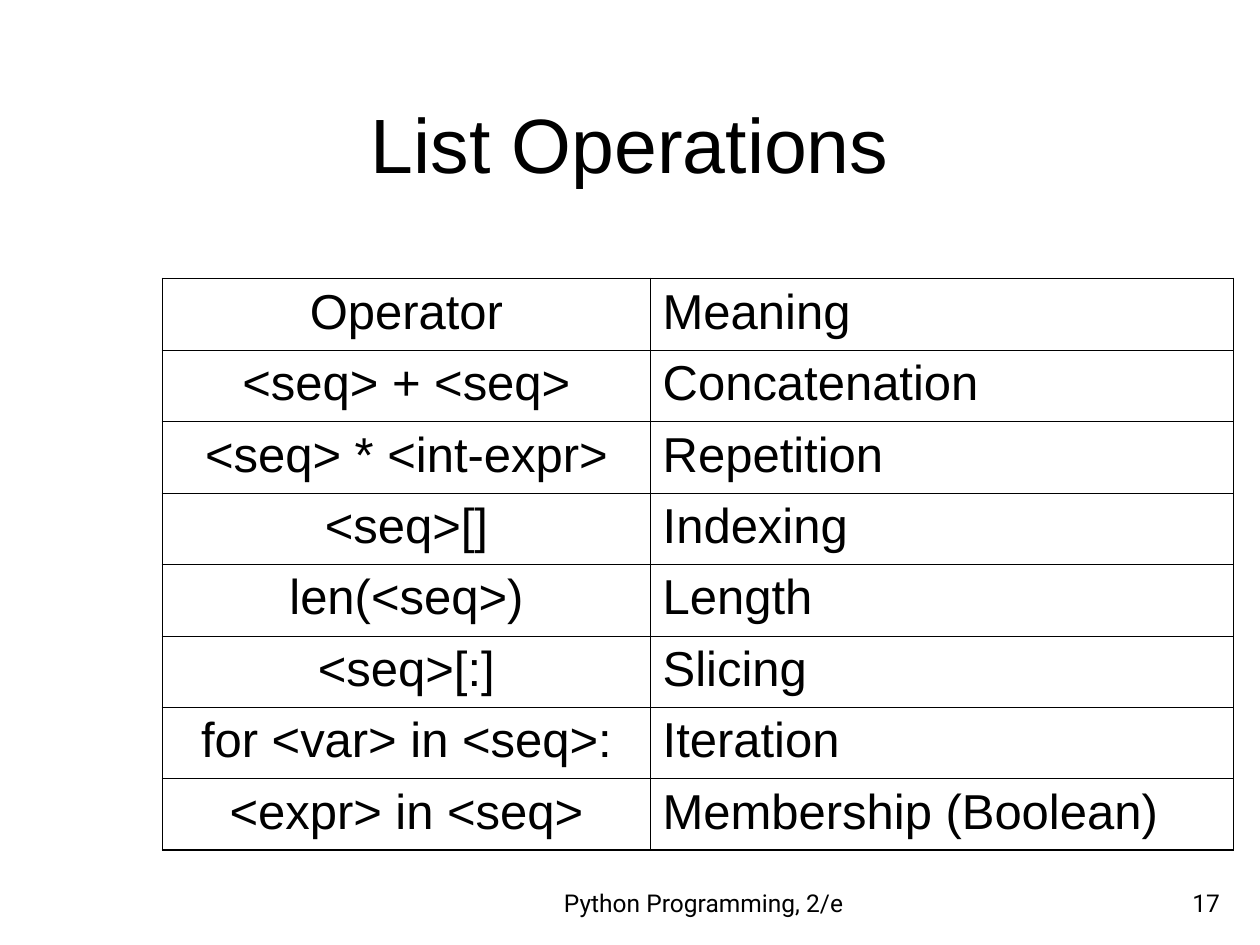
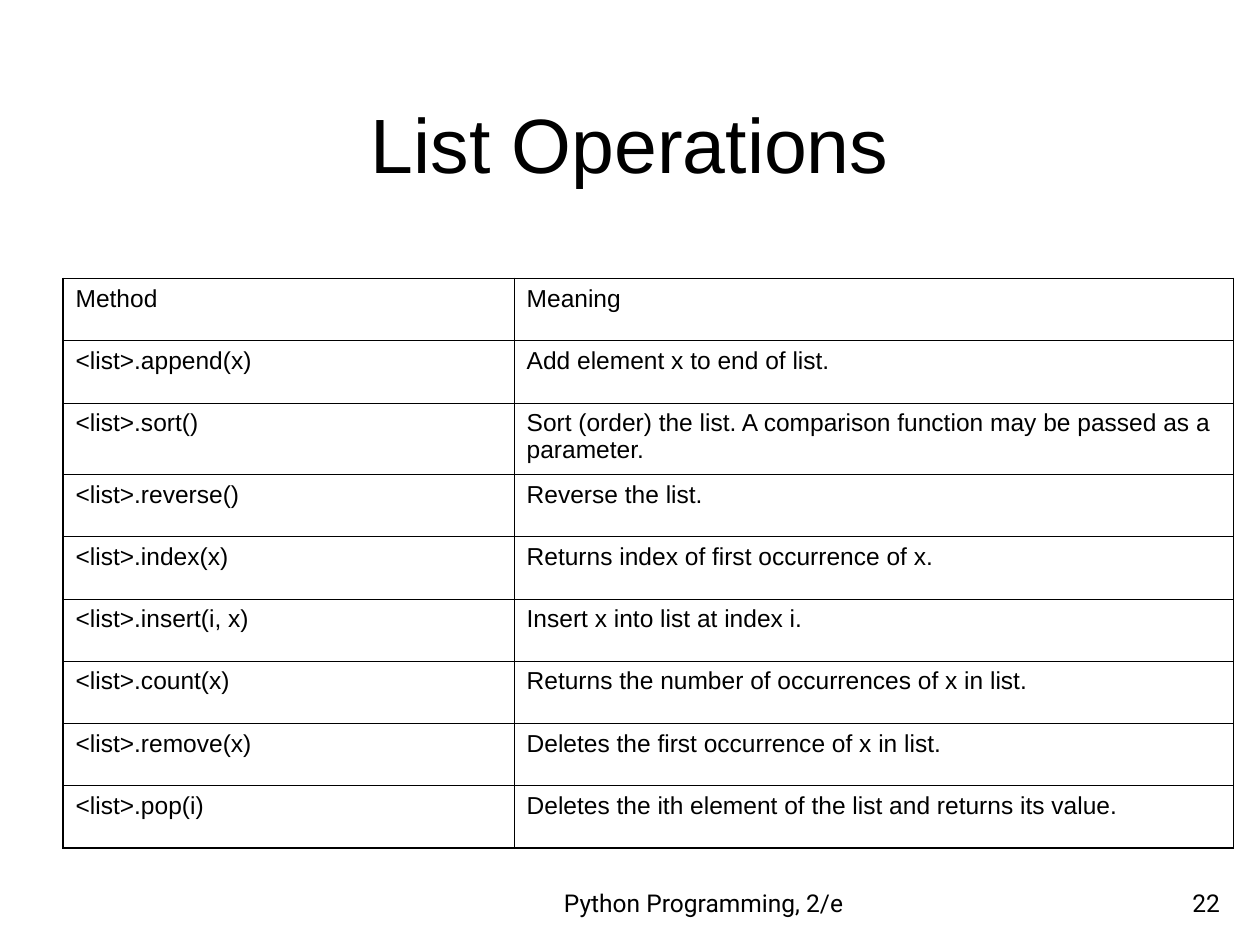
from dataclasses import dataclass

from lxml.etree import SubElement
from pptx import Presentation
from pptx.dml.color import RGBColor as RGB
from pptx.enum.text import MSO_ANCHOR as Anchor, MSO_AUTO_SIZE as AutoSize, PP_ALIGN as Align
from pptx.oxml.ns import qn
from pptx.util import Inches, Pt


@dataclass(frozen=True)
class Theme:
    ink: str = "000000"
    paper: str = "FFFFFF"
    body_font: str = "Arial"
    footer_font: str = "Roboto"
    title_size: int = 44
    footer_size: int = 14
    operator_size: int = 28
    method_size: int = 14
    frame_width: float = 1.08
    rule_width: float = 0.45


THEME = Theme()

# The slide is a grid of 10 columns by 7.5 rows of square modules
GRID_COLS, GRID_ROWS = 10, 7.5
MODULE = Inches(1)
TABLE_TOP, TABLE_RIGHT = 2.21, 9.79
FOOTER_TOP, FOOTER_HEIGHT = 6.83, 0.5

OPERATORS = [
    ("Operator", "Meaning"),
    ("<seq> + <seq>", "Concatenation"),
    ("<seq> * <int-expr>", "Repetition"),
    ("<seq>[]", "Indexing"),
    ("len(<seq>)", "Length"),
    ("<seq>[:]", "Slicing"),
    ("for <var> in <seq>:", "Iteration"),
    ("<expr> in <seq>", "Membership (Boolean)"),
]
METHODS = [
    ("Method", "Meaning"),
    ("<list>.append(x)", "Add element x to end of list."),
    ("<list>.sort()", "Sort (order) the list. A comparison function may be passed as a parameter."),
    ("<list>.reverse()", "Reverse the list."),
    ("<list>.index(x)", "Returns index of first occurrence of x."),
    ("<list>.insert(i, x)", "Insert x into list at index i."),
    ("<list>.count(x)", "Returns the number of occurrences of x in list."),
    ("<list>.remove(x)", "Deletes the first occurrence of x in list."),
    ("<list>.pop(i)", "Deletes the ith element of the list and returns its value."),
]


def grid(*modules):
    """Turn grid modules into slide lengths."""
    return [int(m * MODULE) for m in modules]


def write(tf, text, size, font, align):
    p = tf.paragraphs[0]
    p.alignment = align
    r = p.add_run()
    r.text = text
    r.font.size = Pt(size)
    r.font.name = font
    r.font.color.rgb = RGB.from_string(THEME.ink)


def add_footer(slide, text, left, width, align):
    box = slide.shapes.add_textbox(*grid(left, FOOTER_TOP, width, FOOTER_HEIGHT))
    tf = box.text_frame
    tf.word_wrap = True
    tf.vertical_anchor = Anchor.BOTTOM
    write(tf, text, THEME.footer_size, THEME.footer_font, align)


def add_base_slide(prs, title, number):
    """Title-only slide with the shared title style and footers."""
    slide = prs.slides.add_slide(prs.slide_layouts[5])
    fill = slide.background.fill
    fill.solid()
    fill.fore_color.rgb = RGB.from_string(THEME.paper)

    add_footer(slide, "Python Programming, 2/e", 4, 3.17, Align.CENTER)
    add_footer(slide, str(number), 7.7, 2.08, Align.RIGHT)

    sp = slide.shapes.title
    sp.left, sp.top, sp.width, sp.height = grid(0.5, 0.3, 9, 1.25)
    tf = sp.text_frame
    tf.auto_size = AutoSize.NONE
    tf.vertical_anchor = Anchor.BOTTOM
    write(tf, title, THEME.title_size, THEME.body_font, Align.CENTER)
    return slide


def set_borders(cell, outer_sides):
    """Heavy line on the table's outer sides, thin line elsewhere."""
    tc_pr = cell._tc.get_or_add_tcPr()
    for i, side in enumerate("LRTB"):
        width = THEME.frame_width if side in outer_sides else THEME.rule_width
        ln = SubElement(tc_pr, qn(f"a:ln{side}"), w=str(Pt(width)))
        solid = SubElement(ln, qn("a:solidFill"))
        SubElement(solid, qn("a:srgbClr"), val=THEME.ink)
        tc_pr.insert(i, ln)  # borders come before the fill


def add_ruled_table(slide, rows, left, first_col, row_heights, size, first_align):
    width = TABLE_RIGHT - left
    frame = slide.shapes.add_table(
        len(rows), 2, *grid(left, TABLE_TOP, width, sum(row_heights)))
    table = frame.table
    table.first_row = table.horz_banding = False
    for column, col_width in zip(table.columns, grid(first_col, width - first_col)):
        column.width = col_width
    for row, height in zip(table.rows, grid(*row_heights)):
        row.height = height

    last = len(rows) - 1
    for i, texts in enumerate(rows):
        for j, text in enumerate(texts):
            cell = table.cell(i, j)
            cell.fill.background()
            outer = "LR"[j] + ("T" if i == 0 else "B" if i == last else "")
            set_borders(cell, outer)
            align = first_align if j == 0 else Align.LEFT
            write(cell.text_frame, text, size, THEME.body_font, align)


def main():
    prs = Presentation()
    prs.slide_width, prs.slide_height = grid(GRID_COLS, GRID_ROWS)

    # Sequence operators: equal rows
    slide = add_base_slide(prs, "List Operations", 17)
    count = len(OPERATORS)
    add_ruled_table(slide, OPERATORS, 1.29, 3.87, [4.53 / count] * count,
                    THEME.operator_size, Align.CENTER)

    # List methods: the two-line sort row is taller
    slide = add_base_slide(prs, "List Operations", 22)
    sort_height = 0.57
    height = (4.52 - sort_height) / (len(METHODS) - 1)
    heights = [sort_height if "sort" in name else height for name, _ in METHODS]
    add_ruled_table(slide, METHODS, 0.5, 3.58, heights, THEME.method_size, Align.LEFT)

    prs.save("out.pptx")


if __name__ == "__main__":
    main()
